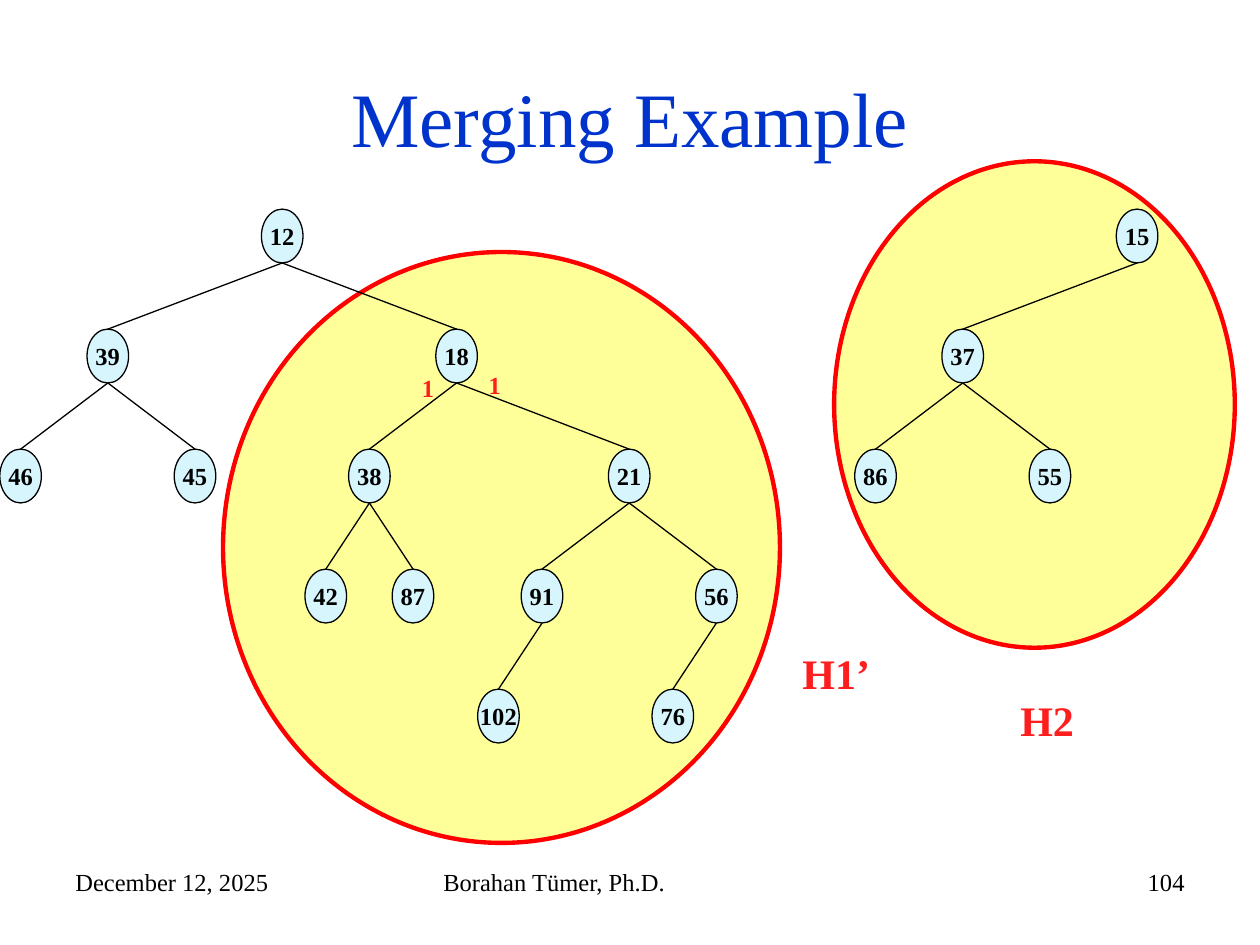
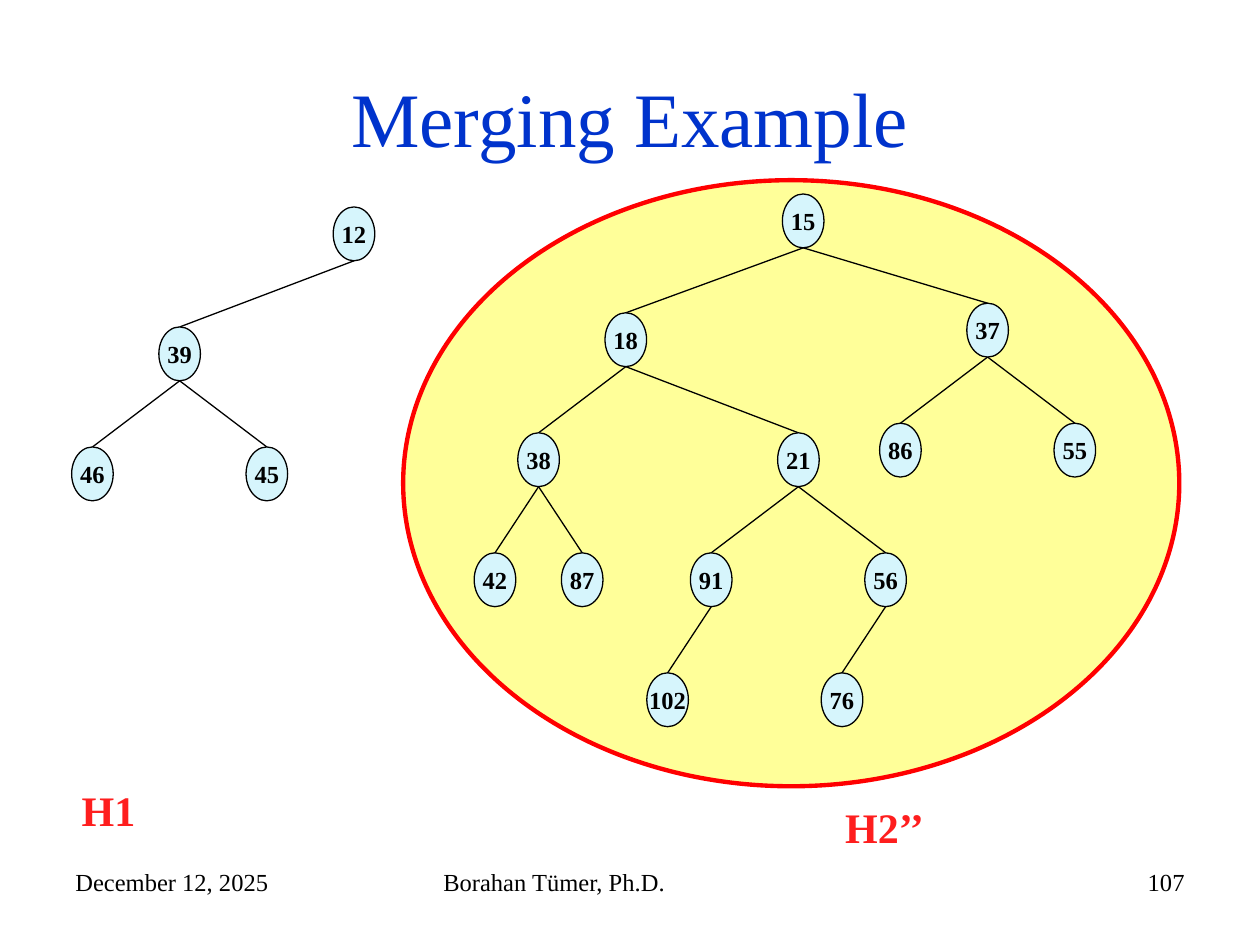
"""Builds two slides on merging leftist heaps."""
from dataclasses import dataclass, replace

from lxml import etree
from pptx import Presentation
from pptx import util as u
from pptx.dml.color import RGBColor
from pptx.enum import shapes, text
from pptx.oxml.ns import qn

LEFT, CENTER, RIGHT = text.PP_ALIGN.LEFT, text.PP_ALIGN.CENTER, text.PP_ALIGN.RIGHT
TOP, MIDDLE = text.MSO_ANCHOR.TOP, text.MSO_ANCHOR.MIDDLE
COL, ROW = 3.46, 12.7
NODE_W, NODE_H = 3.3, 5.7


@dataclass(frozen=True)
class Node:
    key: str
    cols: float = 0
    kids: tuple = ()
    rows: float = 1


def paint(color_format, color):
    color_format.rgb = RGBColor.from_string(color)


def write(tf, content, size=14, color="000000", bold=False, align=LEFT, anchor=TOP, wrap=True):
    tf.word_wrap = wrap
    tf.vertical_anchor = anchor
    p = tf.paragraphs[0]
    p.alignment = align
    r = p.add_run()
    r.text = content
    r.font.name = "Times New Roman"
    r.font.size = u.Pt(size)
    r.font.bold = bold
    paint(r.font.color, color)


class Deck:
    title_color, label_color = "0033CC", "FE1E1E"
    node_fill, edge_color = "D6F5FC", "000000"
    heap_fill, heap_line = "FFFF99", "FF0000"

    def __init__(self):
        self.prs = Presentation()
        self.prs.slide_width, self.prs.slide_height = u.Inches(10), u.Inches(7.5)
        self.s = None

    def at(self, x, y):
        return int(self.prs.slide_width * x / 100), int(self.prs.slide_height * y / 100)

    def box(self, x, y, w, h):
        return *self.at(x, y), *self.at(w, h)

    def slide(self, title, number):
        self.s = self.prs.slides.add_slide(self.prs.slide_layouts[5])
        sp = self.s.shapes.title
        sp.left, sp.top, sp.width, sp.height = self.box(5, 4, 90, 16.67)
        write(sp.text_frame, title, size=44, color=self.title_color, align=CENTER, anchor=MIDDLE)
        self.text(5, 91.07, 23.33, 6.93, "December 12, 2025")
        self.text(34.2, 91.07, 31.7, 6.93, "Borahan Tümer, Ph.D.")
        self.text(71.67, 91.07, 23.33, 6.93, number, align=RIGHT)

    def text(self, x, y, w, h, content, **style):
        write(self.s.shapes.add_textbox(*self.box(x, y, w, h)).text_frame, content, **style)

    def heap_label(self, x, y, content, w=7.7):
        self.text(x, y, w, 6.67, content, size=24, color=self.label_color, bold=True)

    def rank(self, x, y, value):
        self.text(x, y, 3, 4.4, value, color=self.label_color, bold=True, wrap=False)

    def ellipse(self, x, y, w, h, fill, line, weight):
        sp = self.s.shapes.add_shape(shapes.MSO_SHAPE.OVAL, *self.box(x, y, w, h))
        sp.shadow.inherit = False
        sp.fill.solid()
        paint(sp.fill.fore_color, fill)
        paint(sp.line.color, line)
        sp.line.width = u.Pt(weight)
        return sp

    def heap(self, x, y, w, h):
        self.ellipse(x, y, w, h, self.heap_fill, self.heap_line, 2.5)

    def edge(self, x1, y1, x2, y2):
        cx = self.s.shapes.add_connector(
            shapes.MSO_CONNECTOR.STRAIGHT, *self.at(x1, y1), *self.at(x2, y2))
        etree.SubElement(cx._element.spPr, qn("a:effectLst"))
        paint(cx.line.color, self.edge_color)
        cx.line.width = u.Pt(0.75)

    def tree(self, node, x, y):
        sp = self.ellipse(x - NODE_W / 2, y, NODE_W, NODE_H, self.node_fill, self.edge_color, 0.75)
        write(sp.text_frame, node.key, bold=True, align=CENTER, anchor=MIDDLE, wrap=False)
        for kid in node.kids:
            kid_x, kid_y = x + kid.cols * COL, y + kid.rows * ROW
            self.edge(x, y + NODE_H, kid_x, kid_y)
            self.tree(kid, kid_x, kid_y)


def main():
    tree39 = Node("39", -4, (Node("46", -2), Node("45", 2)))
    tree37 = Node("37", -4, (Node("86", -2), Node("55", 2)))
    tree38 = Node("38", -2, (Node("42", -1), Node("87", 1)))
    tree21 = Node("21", 3.96, (Node("91", -2, (Node("102", -1),)),
                               Node("56", 2, (Node("76", -1),))))
    tree18 = Node("18", 4, (tree38, tree21))

    deck = Deck()
    deck.slide("Merging Example", "104")
    deck.heap(66.2, 17.07, 31.8, 51.47)
    deck.heap(17.7, 26.67, 44.2, 62.53)
    deck.tree(Node("12", kids=(tree39, tree18)), 22.4, 22.13)
    deck.tree(Node("15", kids=(tree37,)), 90.25, 22.13)
    deck.rank(32.5, 38.8, "1")
    deck.rank(37.8, 38.53, "1")
    deck.heap_label(62.7, 67.87, "H1’")
    deck.heap_label(80, 72.8, "H2")

    deck.slide("Merging Example", "107")
    deck.heap(32, 19.07, 61.6, 64.13)
    deck.tree(Node("12", kids=(tree39,)), 28.1, 21.9)
    merged = (replace(tree18, cols=-4.07, rows=0.99), replace(tree37, cols=4.23, rows=0.91))
    deck.tree(Node("15", kids=merged), 63.75, 20.53)
    deck.heap_label(5.5, 82.4, "H1")
    deck.heap_label(66.1, 84.13, "H2’’", w=9.4)
    deck.prs.save("out.pptx")


if __name__ == "__main__":
    main()
